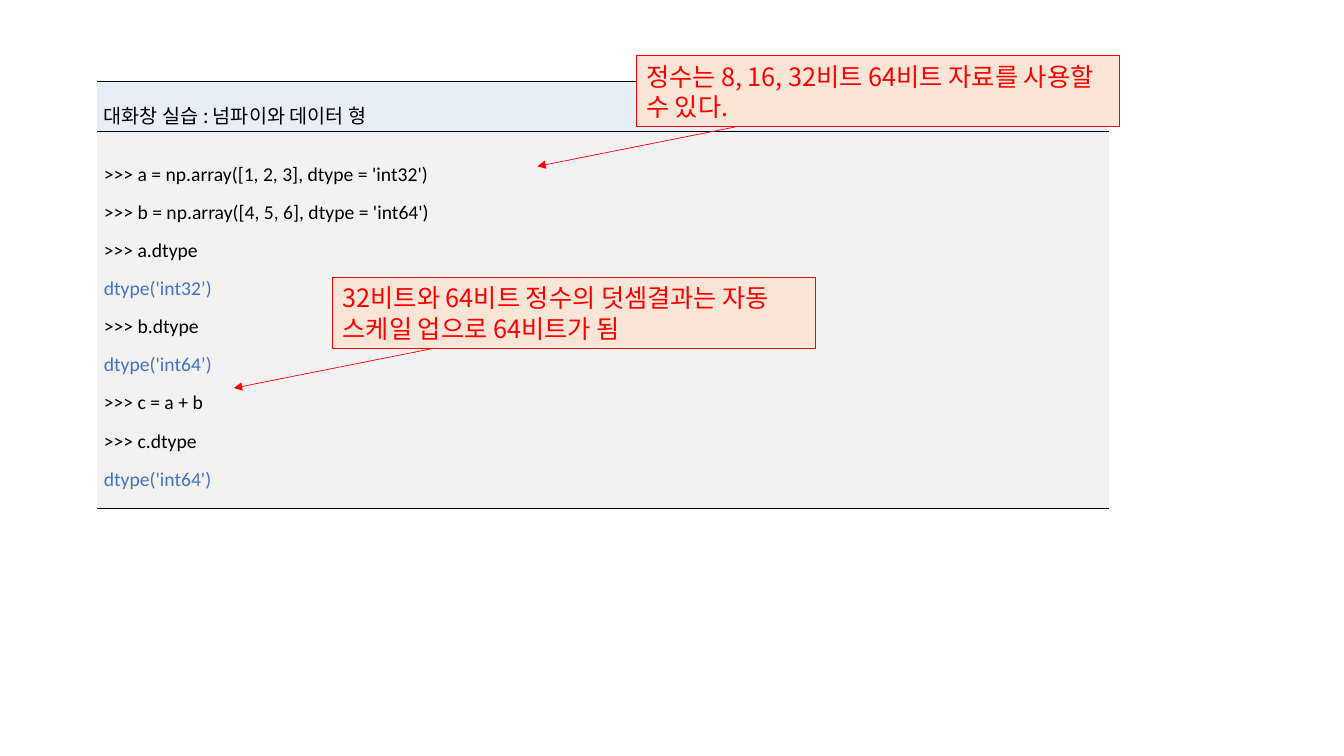
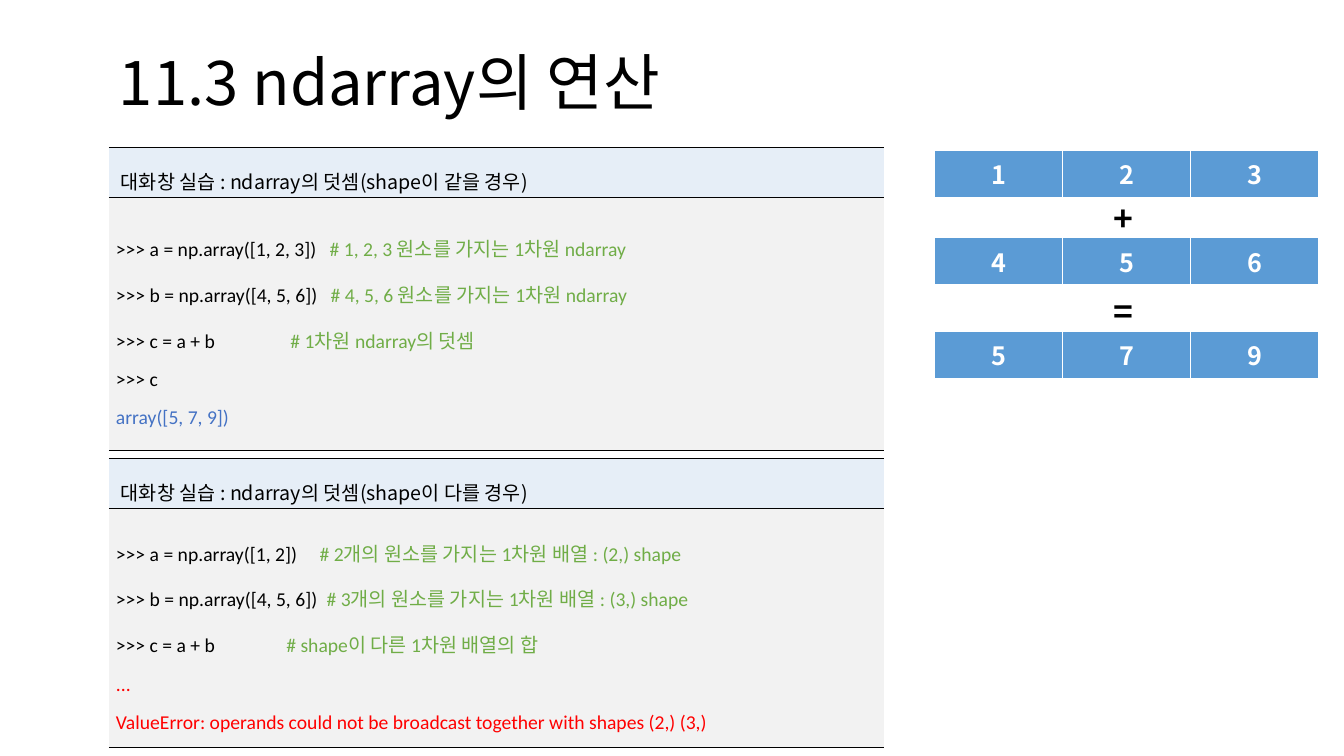
from dataclasses import dataclass

import lxml.etree
import pptx
import pptx.dml.color
import pptx.enum.dml
import pptx.enum.shapes
import pptx.enum.text
import pptx.util
from pptx.oxml.ns import qn

# Scale: 100 px to the inch
SCALE = 9144

# Shared look
RGB = pptx.dml.color.RGBColor
BLACK = RGB(0x00, 0x00, 0x00)
WHITE = RGB(0xFF, 0xFF, 0xFF)
RED = RGB(0xFF, 0x00, 0x00)
BLUE = RGB(0x44, 0x72, 0xC4)
GREEN = RGB(0x70, 0xAD, 0x47)
SKY = RGB(0x5B, 0x9B, 0xD5)
ICE = RGB(0xE6, 0xEE, 0xF7)
GREY = RGB(0xF2, 0xF2, 0xF2)
PEACH = RGB(0xFB, 0xE5, 0xD6)
KOREAN = "Noto Sans CJK KR"
LATIN = "Calibri"
THIN = 0.28

ALIGN = pptx.enum.text.PP_ALIGN
MIDDLE = pptx.enum.text.MSO_ANCHOR.MIDDLE


@dataclass
class Line:
    code: str
    color: RGB = BLACK
    note: str = ""
    tab: int = 0


@dataclass
class Panel:
    left: int
    top: int
    width: int
    rows: tuple[int, int]
    head: str
    lines: list[Line]
    inset: int = 7


@dataclass
class Callout:
    left: int
    top: int
    text: str


def px(count: int) -> pptx.util.Emu:
    return pptx.util.Emu(count * SCALE)


def box(left: int, top: int, width: int, height: int) -> tuple:
    return px(left), px(top), px(width), px(height)


def write(par, text: str, *, size=14, color=BLACK, font=KOREAN, bold=False,
          align=ALIGN.LEFT, space=None) -> None:
    """Add one formatted run to a paragraph."""
    par.alignment = align
    if space is not None:
        par.line_spacing = space
    run = par.add_run()
    run.text = text
    run.font.size = pptx.util.Pt(size)
    run.font.bold = bold
    run.font.color.rgb = color
    run.font.name = font
    east = lxml.etree.SubElement(run._r.get_or_add_rPr(), qn("a:ea"))
    east.set("typeface", KOREAN)


def add_tab(par, pos: int) -> None:
    tabs = lxml.etree.SubElement(par._p.get_or_add_pPr(), qn("a:tabLst"))
    lxml.etree.SubElement(tabs, qn("a:tab"), pos=str(px(pos)), algn="l")


def style_cell(cell, fill: RGB, color: RGB, **widths: float) -> None:
    """Set borders by side (L, R, T, B; points), then the fill."""
    props = cell._tc.get_or_add_tcPr()
    for side in "LRTB":
        width = widths.get(side, 0)
        edge = lxml.etree.SubElement(props, qn(f"a:ln{side}"))
        edge.set("w", str(pptx.util.Pt(width)))
        if width:
            solid = lxml.etree.SubElement(edge, qn("a:solidFill"))
            lxml.etree.SubElement(solid, qn("a:srgbClr"), val=str(color))
        else:
            lxml.etree.SubElement(edge, qn("a:noFill"))
    cell.fill.solid()
    cell.fill.fore_color.rgb = fill


def add_grid(slide, left: int, top: int, cols: list[int], rows: list[int]):
    frame = slide.shapes.add_table(
        len(rows), len(cols), *box(left, top, sum(cols), sum(rows)))
    table = frame.table
    table.first_row = table.horz_banding = False
    for col, width in zip(table.columns, cols):
        col.width = px(width)
    for row, height in zip(table.rows, rows):
        row.height = px(height)
    return table


def add_panel(slide, panel: Panel) -> None:
    """Draw a heading row above a row of console lines."""
    table = add_grid(slide, panel.left, panel.top, [panel.width], list(panel.rows))
    head, body = table.cell(0, 0), table.cell(1, 0)
    for cell, fill, top in ((head, ICE, 1), (body, GREY, THIN)):
        cell.margin_left = cell.margin_right = px(7)
        cell.margin_top = cell.margin_bottom = px(2)
        cell.vertical_anchor = MIDDLE
        style_cell(cell, fill, BLACK, T=top, B=THIN)
    head.margin_left = px(panel.inset)
    look = dict(align=ALIGN.JUSTIFY, space=1.6)
    write(head.text_frame.paragraphs[0], panel.head, **look)
    frame = body.text_frame
    for num, line in enumerate(panel.lines):
        par = frame.add_paragraph() if num else frame.paragraphs[0]
        write(par, line.code, color=line.color, font=LATIN, **look)
        if line.note:
            add_tab(par, line.tab)
            write(par, "\t" + line.note, color=GREEN, font=LATIN, **look)


def add_callout(slide, note: Callout) -> None:
    """Draw a note box with an arrow to the lower left."""
    group = slide.shapes.add_group_shape().shapes
    shape = group.add_shape(pptx.enum.shapes.MSO_SHAPE.RECTANGLE,
                            *box(note.left, note.top, 479, 71))
    shape.shadow.inherit = False
    shape.fill.solid()
    shape.fill.fore_color.rgb = PEACH
    shape.line.color.rgb = RED
    shape.line.width = pptx.util.Pt(0.75)
    frame = shape.text_frame
    frame.word_wrap = True
    frame.vertical_anchor = MIDDLE
    write(frame.paragraphs[0], note.text, size=18, color=RED,
          space=pptx.util.Pt(21.6))

    tail = note.left + 98, note.top + 71
    tip = note.left - 98, note.top + 110
    arrow = group.add_connector(pptx.enum.shapes.MSO_CONNECTOR.STRAIGHT,
                                *map(px, tail + tip))
    arrow.line.color.rgb = RED
    arrow.line.width = pptx.util.Pt(0.5)
    lxml.etree.SubElement(arrow.line._get_or_add_ln(), qn("a:tailEnd"),
                          type="triangle")
    lxml.etree.SubElement(arrow._element.spPr, qn("a:effectLst"))


def add_array(slide, top: int, values: str) -> None:
    table = add_grid(slide, 927, top, [127] * 3, [48])
    for cell, value in zip(table.rows[0].cells, values):
        style_cell(cell, SKY, WHITE, L=1, R=1, T=1, B=3)
        write(cell.text_frame.paragraphs[0], value, size=18, color=WHITE,
              bold=True, align=ALIGN.CENTER)


def add_sign(slide, top: int, sign: str) -> None:
    frame = slide.shapes.add_textbox(*box(1095, top, 44, 50)).text_frame
    frame.word_wrap = True
    frame.vertical_anchor = MIDDLE
    write(frame.paragraphs[0], sign, size=24, bold=True)


def add_title(slide, text: str) -> None:
    title = slide.shapes.title
    title.left, title.top, title.width, title.height = box(108, 12, 1150, 145)
    frame = title.text_frame
    frame.auto_size = pptx.enum.text.MSO_AUTO_SIZE.NONE
    frame.word_wrap = True
    frame.vertical_anchor = MIDDLE
    write(frame.paragraphs[0], text, size=44, space=0.9)


# Slide content
TYPES = Panel(96, 81, 1004, (37, 374), "대화창 실습 : 넘파이와 데이터 형", [
    Line(">>> a = np.array([1, 2, 3], dtype = 'int32')"),
    Line(">>> b = np.array([4, 5, 6], dtype = 'int64')"),
    Line(">>> a.dtype"),
    Line("dtype('int32’)", BLUE),
    Line(">>> b.dtype"),
    Line("dtype('int64’)", BLUE),
    Line(">>> c = a + b"),
    Line(">>> c.dtype"),
    Line("dtype('int64')", BLUE),
])
NOTES = [
    Callout(631, 55, "정수는 8, 16, 32비트 64비트 자료를 사용할 수 있다."),
    Callout(330, 275, "32비트와 64비트 정수의 덧셈결과는 자동 스케일 업으로 64비트가 됨"),
]
SUMS = [
    Panel(108, 146, 769, (29, 251), "대화창 실습 : ndarray의 덧셈(shape이 같을 경우)", [
        Line(">>> a = np.array([1, 2, 3])", note="# 1, 2, 3 원소를 가지는 1차원 ndarray", tab=212),
        Line(">>> b = np.array([4, 5, 6])", note="# 4, 5, 6 원소를 가지는 1차원 ndarray", tab=213),
        Line(">>> c = a + b", note="# 1차원 ndarray의 덧셈", tab=173),
        Line(">>> c"),
        Line("array([5, 7, 9])", BLUE),
    ], inset=12),
    Panel(108, 455, 769, (21, 237), "대화창 실습 : ndarray의 덧셈(shape이 다를 경우)", [
        Line(">>> a = np.array([1, 2])", note="# 2개의 원소를 가지는 1차원 배열 : (2,) shape", tab=202),
        Line(">>> b = np.array([4, 5, 6])", note="# 3개의 원소를 가지는 1차원 배열 : (3,) shape", tab=209),
        Line(">>> c = a + b", note="# shape이 다른 1차원 배열의 합", tab=169),
        Line("...", RED),
        Line("ValueError: operands could not be broadcast together with shapes (2,) (3,)", RED),
    ], inset=12),
]
ARRAYS = [(149, "123"), (236, "456"), (329, "579")]
SIGNS = [(191, "+"), (284, "=")]


def main() -> None:
    deck = pptx.Presentation()
    deck.slide_width, deck.slide_height = px(1333), px(750)

    # Data types
    slide = deck.slides.add_slide(deck.slide_layouts[6])
    add_panel(slide, TYPES)
    for note in NOTES:
        add_callout(slide, note)

    # Array sums
    slide = deck.slides.add_slide(deck.slide_layouts[5])
    add_title(slide, "11.3 ndarray의 연산")
    for panel in SUMS:
        add_panel(slide, panel)
    for top, values in ARRAYS:
        add_array(slide, top, values)
    for top, sign in SIGNS:
        add_sign(slide, top, sign)

    deck.save("out.pptx")


if __name__ == "__main__":
    main()
